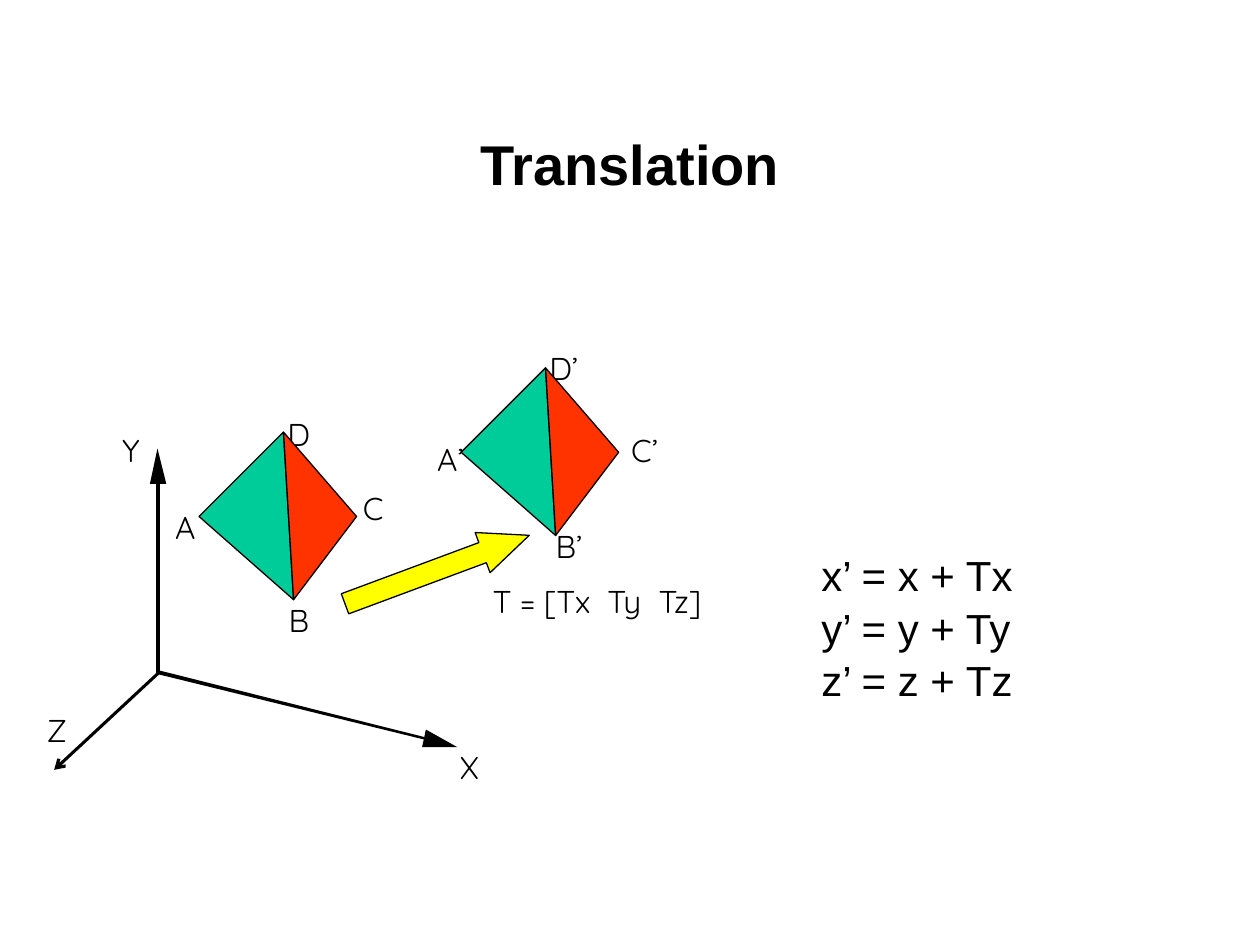
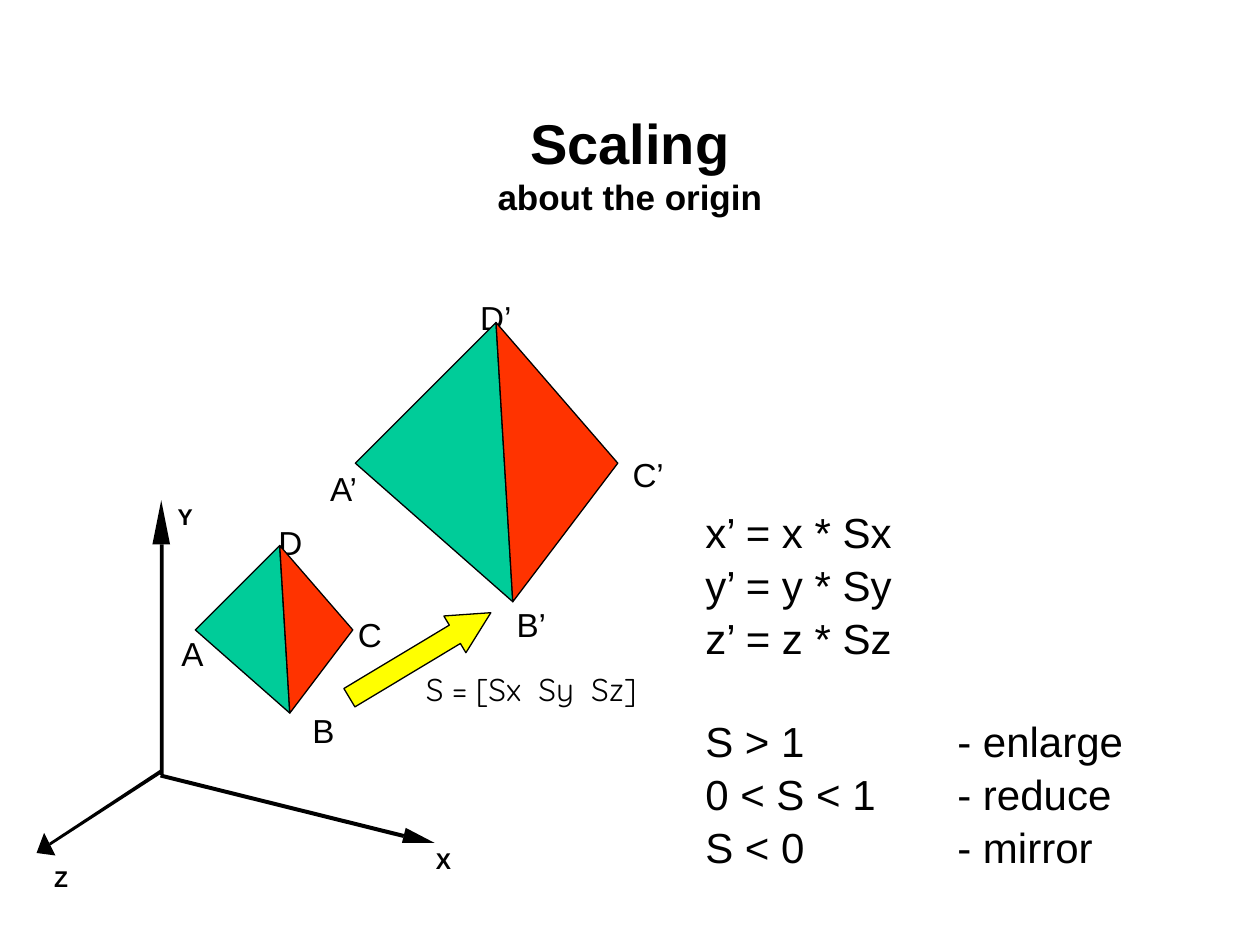
from lxml.etree import SubElement
from pptx import Presentation
from pptx.dml.color import RGBColor
from pptx.enum.shapes import MSO_CONNECTOR, MSO_SHAPE
from pptx.enum.text import MSO_ANCHOR, MSO_AUTO_SIZE, PP_ALIGN
from pptx.oxml.ns import qn
from pptx.util import Inches, Pt

COLORS = {
    "ink": "000000",
    "left_face": "00CC99",
    "right_face": "FF3300",
    "motion": "FFFF00",
}
CORNERS = {"A": (0, 0.67), "B": (0.75, 1.33), "C": (1.25, 0.67), "D": (0.67, 0)}
FACES = {"left_face": "ABD", "right_face": "DBC"}
TITLE_ONLY = 5


class Deck:
    def __init__(self):
        self.prs = Presentation()
        self.prs.slide_width, self.prs.slide_height = Inches(10), Inches(7.5)
        self.slide = None

    def color(self, name):
        return RGBColor.from_string(COLORS[name])

    def style(self, runs, size, font="Arial", bold=False):
        for run in runs:
            run.font.name = font
            run.font.size = Pt(size)
            run.font.bold = bold
            run.font.color.rgb = self.color("ink")

    def paint(self, shape, fill, outlined):
        shape.shadow.inherit = False
        shape.fill.solid()
        shape.fill.fore_color.rgb = self.color(fill)
        if outlined:
            shape.line.color.rgb = self.color("ink")
            shape.line.width = Pt(0.75)
        else:
            shape.line.fill.background()

    def add_slide(self, heading, subheading=None):
        layout = self.prs.slide_layouts[TITLE_ONLY]
        self.slide = self.prs.slides.add_slide(layout)
        title = self.slide.shapes.title
        title.left, title.top = Inches(0.75), Inches(0.67)
        title.width, title.height = Inches(8.5), Inches(1.25)
        frame = title.text_frame
        frame.text = f"{heading}\v{subheading}" if subheading else heading
        frame.auto_size = MSO_AUTO_SIZE.NONE
        frame.vertical_anchor = MSO_ANCHOR.MIDDLE
        paragraph = frame.paragraphs[0]
        paragraph.alignment = PP_ALIGN.CENTER
        paragraph.space_before, paragraph.space_after = Pt(12), Pt(6)
        self.style(paragraph.runs[:1], 32, bold=True)
        self.style(paragraph.runs[1:], 20, bold=True)

    def text(self, words, left, top, width, height, size, font="Arial",
             bold=False, inset=(0, 0), wrap=False):
        box = self.slide.shapes.add_textbox(
            Inches(left), Inches(top), Inches(width), Inches(height))
        frame = box.text_frame
        frame.word_wrap = wrap
        frame.auto_size = MSO_AUTO_SIZE.SHAPE_TO_FIT_TEXT
        frame.margin_left = frame.margin_right = Inches(inset[0])
        frame.margin_top = frame.margin_bottom = Inches(inset[1])
        frame.text = words
        for paragraph in frame.paragraphs:
            if font == "Arial":
                paragraph.line_spacing = 1.05
            self.style(paragraph.runs, size, font, bold)
        return frame

    def labels(self, places, height, size, font="Arial", bold=False):
        for name, (left, top, width) in places.items():
            self.text(name, left, top, width, height, size, font, bold)

    def vector(self, words, left, top):
        self.text(words, left, top, 1.89, 0.3, 18, "Quicksand", wrap=True)

    def equations(self, lines, left, top, width, height, wrap=False):
        return self.text("\n".join(lines), left, top, width, height, 24,
                         inset=(0.1, 0.05), wrap=wrap)

    def tab_stop(self, paragraph, position):
        stops = SubElement(paragraph._p.get_or_add_pPr(), qn("a:tabLst"))
        SubElement(stops, qn("a:tab"), pos=str(Inches(position)), algn="l")

    def polygon(self, points, fill="ink", outlined=False):
        start, *rest = [(Inches(x), Inches(y)) for x, y in points]
        builder = self.slide.shapes.build_freeform(*start)
        builder.add_line_segments(rest, close=True)
        self.paint(builder.convert_to_shape(), fill, outlined)

    def solid(self, left, top, scale=1.0):
        for face, corners in FACES.items():
            points = [(left + scale * CORNERS[c][0], top + scale * CORNERS[c][1])
                      for c in corners]
            self.polygon(points, face, outlined=True)

    def motion_arrow(self, left, top, width, rotation, head):
        arrow = self.slide.shapes.add_shape(
            MSO_SHAPE.RIGHT_ARROW,
            Inches(left), Inches(top), Inches(width), Inches(0.34))
        arrow.adjustments[0], arrow.adjustments[1] = 0.5, head
        arrow.rotation = rotation
        self.paint(arrow, "motion", outlined=True)

    def bar(self, left, top, width, height):
        bar = self.slide.shapes.add_shape(
            MSO_SHAPE.RECTANGLE,
            Inches(left), Inches(top), Inches(width), Inches(height))
        self.paint(bar, "ink", outlined=False)

    def axis_line(self, start, end):
        ends = [Inches(v) for v in (*start, *end)]
        axis = self.slide.shapes.add_connector(MSO_CONNECTOR.STRAIGHT, *ends)
        axis.line.color.rgb = self.color("ink")
        axis.line.width = Pt(1.75)
        SubElement(axis.line._get_or_add_ln(), qn("a:tailEnd"), type="arrow")
        SubElement(axis._element.spPr, qn("a:effectLst"))


def build_translation(deck):
    deck.add_slide("Translation")
    deck.vector("T = [Tx  Ty  Tz]", 3.91, 4.62)
    deck.equations(["x’ = x + Tx", "y’ = y + Ty", "z’ = z + Tz"],
                   6.42, 4.29, 1.74, 1.3)
    deck.polygon([(1.25, 3.56), (1.32, 3.84), (1.19, 3.84)])
    deck.bar(1.24, 3.84, 0.03, 1.5)
    deck.polygon([(3.63, 5.93), (3.35, 5.93), (3.38, 5.79)])
    deck.polygon([(1.26, 5.32), (1.25, 5.35), (3.37, 5.87), (3.37, 5.85)])
    deck.axis_line((1.27, 5.33), (0.43, 6.11))
    deck.labels({
        "X": (3.65, 5.94, 0.15),
        "Y": (0.97, 3.42, 0.15),
        "Z": (0.37, 5.64, 0.12),
        "A": (1.39, 4.03, 0.19),
        "B": (2.29, 4.77, 0.14),
        "C": (2.88, 3.88, 0.2),
        "D": (2.28, 3.29, 0.19),
        "A’": (3.47, 3.49, 0.27),
        "B’": (4.41, 4.18, 0.23),
        "C’": (5.01, 3.42, 0.29),
        "D’": (4.36, 2.77, 0.27),
    }, 0.3, 18, "Quicksand")
    deck.solid(1.58, 3.43)
    deck.solid(3.66, 2.92)
    deck.motion_arrow(2.69, 4.35, 1.56, 339.6, 1.16)


def build_scaling(deck):
    deck.add_slide("Scaling", "about the origin")
    deck.polygon([(1.28, 3.97), (1.35, 4.32), (1.21, 4.32)])
    deck.bar(1.27, 4.32, 0.03, 1.83)
    deck.polygon([(3.45, 6.69), (3.19, 6.69), (3.22, 6.57)])
    deck.polygon([(1.28, 6.14), (1.27, 6.17), (3.2, 6.65), (3.21, 6.62)])
    deck.polygon([(1.28, 6.14), (1.27, 6.11), (0.39, 6.69), (0.4, 6.71)])
    deck.polygon([(0.35, 6.61), (0.29, 6.77), (0.44, 6.79)])
    deck.labels({
        "X": (3.46, 6.71, 0.12),
        "Y": (1.41, 3.98, 0.12),
        "Z": (0.43, 6.85, 0.11),
    }, 0.22, 13, bold=True)
    deck.labels({
        "A": (1.44, 5.01, 0.18),
        "B": (2.48, 5.62, 0.18),
        "C": (2.84, 4.86, 0.19),
        "D": (2.21, 4.13, 0.19),
        "A’": (2.62, 3.7, 0.24),
        "B’": (4.1, 4.78, 0.24),
        "C’": (5.02, 3.59, 0.25),
        "D’": (3.81, 2.34, 0.25),
    }, 0.32, 19)
    deck.solid(1.55, 4.33)
    deck.motion_arrow(2.68, 5.03, 1.31, 329, 0.98)
    deck.solid(2.82, 2.56, scale=5 / 3)
    rules = deck.equations(
        ["x’ = x * Sx", "y’ = y * Sy", "z’ = z * Sz",
         "S > 1\t- enlarge", "0 < S < 1\t- reduce", "S < 0\t- mirror"],
        5.5, 3.95, 4.04, 2.9, wrap=True)
    effects = rules.paragraphs[3:]
    effects[0].space_before = Pt(29)
    for effect in effects:
        deck.tab_stop(effect, 2)
    deck.vector("S = [Sx  Sy  Sz]", 3.38, 5.32)


def main():
    deck = Deck()
    build_translation(deck)
    build_scaling(deck)
    deck.prs.save("out.pptx")


if __name__ == "__main__":
    main()
